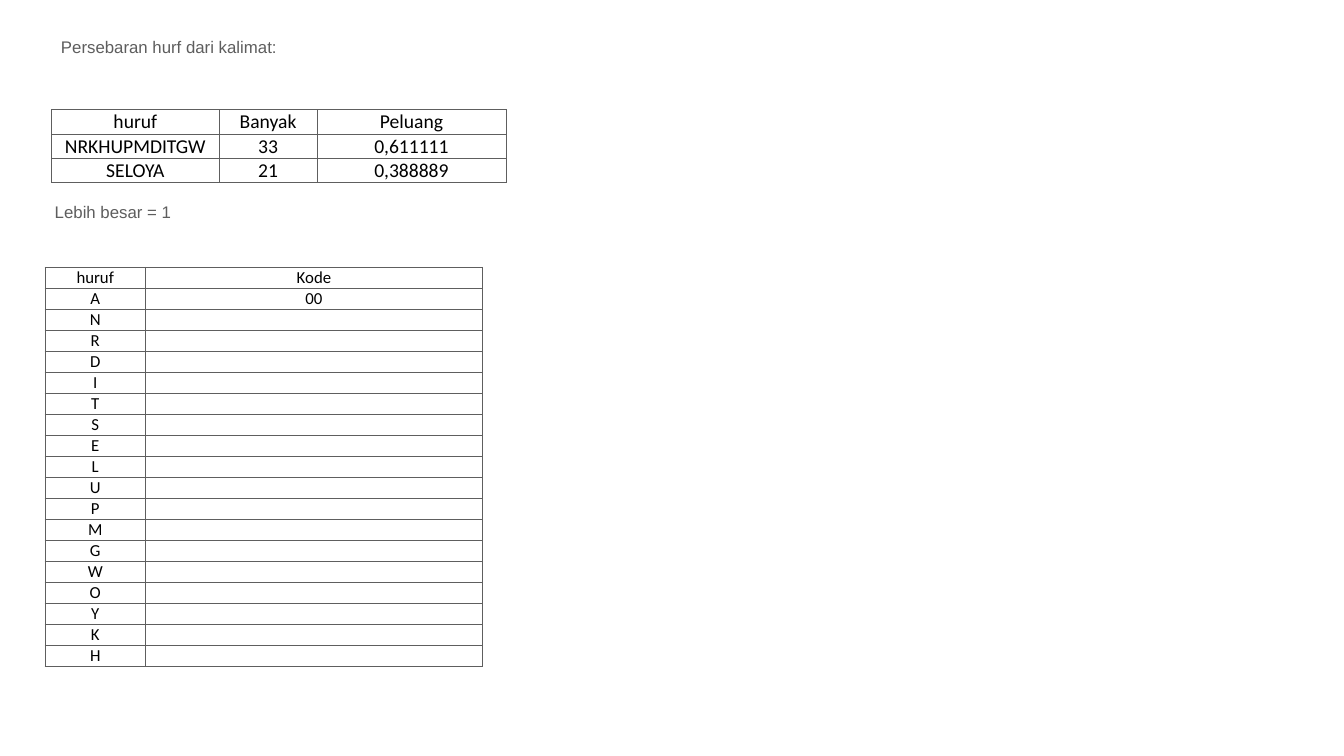
import pptx
import pptx.util
import pptx.dml.color
import pptx.enum.text
import pptx.oxml
import pptx.oxml.ns
from dataclasses import dataclass

PX = 9144  # 100 px to the inch
ALIGN = pptx.enum.text.PP_ALIGN
ANCHOR = pptx.enum.text.MSO_ANCHOR


@dataclass(frozen=True)
class Theme:
    grey: str = "5E5E5E"
    black: str = "000000"
    white: str = "FFFFFF"
    note_font: str = "Arial"
    cell_font: str = "Calibri"
    note_size: int = 24
    count_size: int = 28
    code_size: int = 24
    rule: int = 1


THEME = Theme()


def px(n):
    return pptx.util.Emu(n * PX)


def style(par, font, size, color, align):
    par.alignment = align
    for run in par.runs:
        run.font.name = font
        run.font.size = pptx.util.Pt(size)
        run.font.color.rgb = pptx.dml.color.RGBColor.from_string(color)


def note(shape, box, text, align, anchor, wrap):
    """Fill a line of grey text into the given shape."""
    shape.left, shape.top, shape.width, shape.height = map(px, box)
    frame = shape.text_frame
    frame.text = text
    frame.word_wrap = wrap
    frame.auto_size = pptx.enum.text.MSO_AUTO_SIZE.NONE
    frame.vertical_anchor = anchor
    frame.margin_left = frame.margin_right = px(6)
    frame.margin_top = frame.margin_bottom = px(6)
    style(frame.paragraphs[0], THEME.note_font, THEME.note_size, THEME.grey, align)


def border(cell):
    """Rule all four sides; lines come before the fill in tcPr."""
    props = cell._tc.get_or_add_tcPr()
    for i, side in enumerate("LRTB"):
        line = pptx.oxml.parse_xml(
            f'<a:ln{side} {pptx.oxml.ns.nsdecls("a")} w="{pptx.util.Pt(THEME.rule)}">'
            f'<a:solidFill><a:srgbClr val="{THEME.grey}"/></a:solidFill></a:ln{side}>')
        props.insert(i, line)


def grid(slide, left, top, cols, row, size, data):
    """Draw a ruled table of equal rows from its top left corner."""
    frame = slide.shapes.add_table(len(data), len(cols), px(left), px(top),
                                   px(sum(cols)), px(row * len(data)))
    table = frame.table
    table.first_row = table.horz_banding = False
    for col, width in zip(table.columns, cols):
        col.width = px(width)
    for line, texts in zip(table.rows, data):
        line.height = px(row)
        for cell, text in zip(line.cells, texts):
            cell.margin_left = cell.margin_right = cell.margin_top = px(1)
            cell.margin_bottom = 0
            cell.vertical_anchor = ANCHOR.BOTTOM
            cell.fill.solid()
            cell.fill.fore_color.rgb = pptx.dml.color.RGBColor.from_string(THEME.white)
            border(cell)
            if text:
                cell.text = text
                style(cell.text_frame.paragraphs[0], THEME.cell_font, size,
                      THEME.black, ALIGN.CENTER)


def main():
    deck = pptx.Presentation()
    deck.slide_width, deck.slide_height = px(2667), px(1500)
    slide = deck.slides.add_slide(deck.slide_layouts[5])

    # Heading and letter counts
    note(slide.shapes.title, (115, 66, 1544, 92), "Persebaran hurf dari kalimat:",
         ALIGN.JUSTIFY, ANCHOR.TOP, True)
    grid(slide, 102, 217, (333, 194, 375), 48, THEME.count_size, [
        ("huruf", "Banyak", "Peluang"),
        ("NRKHUPMDITGW", "33", "0,611111"),
        ("SELOYA", "21", "0,388889"),
    ])

    # Rule for the code, and the code table with only A filled in
    box = slide.shapes.add_textbox(0, 0, 0, 0)
    note(box, (102, 394, 244, 52), "Lebih besar = 1",
         ALIGN.CENTER, ANCHOR.MIDDLE, False)
    codes = {"A": "00"}
    rows = [(char, codes.get(char, "")) for char in "ANRDITSELUPMGWOYKH"]
    grid(slide, 89, 530, (200, 668), 41, THEME.code_size, [("huruf", "Kode"), *rows])

    deck.save("out.pptx")


if __name__ == "__main__":
    main()
